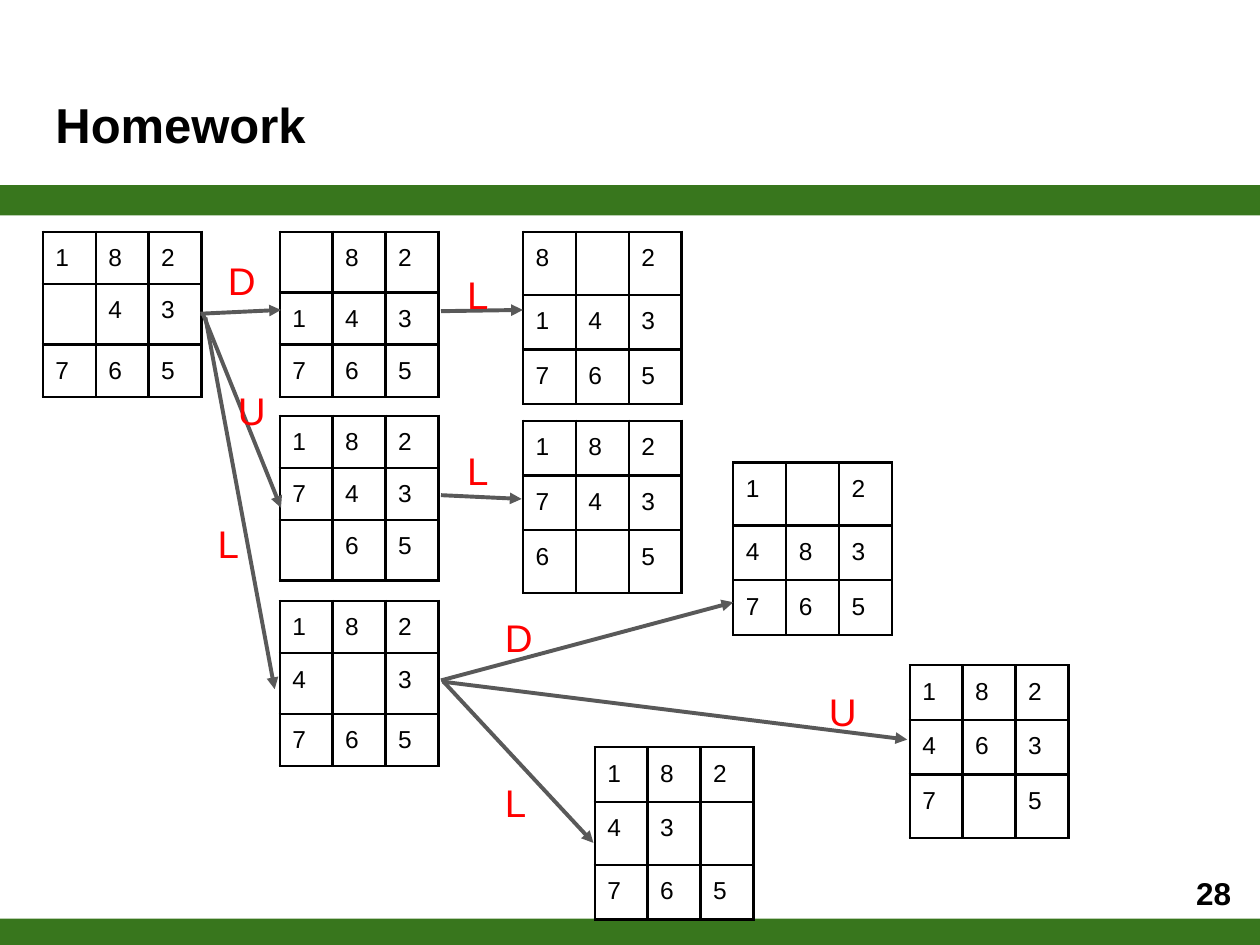
from lxml.etree import SubElement
from pptx import Presentation
from pptx.dml.color import RGBColor
from pptx.enum.shapes import MSO_CONNECTOR, MSO_SHAPE
from pptx.enum.text import MSO_ANCHOR, MSO_AUTO_SIZE, PP_ALIGN
from pptx.oxml import parse_xml
from pptx.oxml.ns import nsdecls, qn
from pptx.util import Inches, Pt

COLORS = {"bar": "38761D", "text": "000000", "move": "FF0000", "arrow": "595959"}
MARGIN = Inches(0.1)
CELL_WIDTH = 0.42
MIN_ROW = 0.21
TIGHT = 0.08
ROOMY = 0.1

BOARDS = [
    (0.34, 1.84, "182 _43 765", TIGHT),
    (2.22, 1.84, "_82 143 765", TIGHT),
    (2.22, 3.30, "182 743 _65", TIGHT),
    (2.22, 4.77, "182 4_3 765", TIGHT),
    (4.15, 1.84, "8_2 143 765", ROOMY),
    (4.15, 3.34, "182 743 6_5", ROOMY),
    (5.82, 3.67, "1_2 483 765", ROOMY),
    (4.72, 5.93, "182 43_ 765", ROOMY),
    (7.22, 5.28, "182 463 7_5", ROOMY),
]

MOVES = [
    ("D", (1.71, 1.94), (1.59, 2.49), (2.23, 2.46)),
    ("U", (1.79, 2.97), (1.61, 2.49), (2.23, 4.03)),
    ("L", (1.63, 4.03), (1.63, 2.52), (2.18, 5.47)),
    ("L", (3.61, 2.05), (3.50, 2.47), (4.15, 2.46)),
    ("L", (3.61, 3.45), (3.50, 3.93), (4.14, 3.96)),
    ("D", (3.91, 4.77), (3.50, 5.40), (5.82, 4.78)),
    ("L", (3.91, 6.08), (3.52, 5.41), (4.71, 6.69)),
    ("U", (6.48, 5.36), (3.51, 5.41), (7.20, 5.87)),
]


def rgb(name):
    """Look up a named colour."""
    return RGBColor.from_string(COLORS[name])


def place(sp, x, y, w, h):
    """Move a shape into a box given in inches."""
    sp.left, sp.top, sp.width, sp.height = (Inches(v) for v in (x, y, w, h))


def write(tf, text, size, color="text", bold=False, align=PP_ALIGN.LEFT):
    """Set a one-line text and its format."""
    tf.text = text
    p = tf.paragraphs[0]
    p.alignment = align
    for r in p.runs:
        r.font.name = "Arial"
        r.font.size = Pt(size)
        r.font.bold = bold
        r.font.color.rgb = rgb(color)


def set_frame(tf, anchor=MSO_ANCHOR.TOP):
    """Give a text frame equal insets, wrapping and an anchor."""
    tf.margin_left = tf.margin_right = tf.margin_top = tf.margin_bottom = MARGIN
    tf.word_wrap = True
    tf.vertical_anchor = anchor


def add_bar(s, y, h):
    """Draw a green bar across the slide."""
    sp = s.shapes.add_shape(MSO_SHAPE.RECTANGLE, 0, Inches(y), Inches(10), Inches(h))
    sp.shadow.inherit = False
    sp.fill.solid()
    sp.fill.fore_color.rgb = rgb("bar")
    sp.line.fill.background()


def add_title(s, text, x, y, w, h):
    """Place and format the slide title."""
    sp = s.shapes.title
    place(sp, x, y, w, h)
    tf = sp.text_frame
    set_frame(tf)
    tf.auto_size = MSO_AUTO_SIZE.NONE
    write(tf, text, 28, bold=True)


def add_number(s, text, x, y, w, h):
    """Write the page number in the lower right corner."""
    sp = s.shapes.add_textbox(0, 0, 0, 0)
    place(sp, x, y, w, h)
    set_frame(sp.text_frame, MSO_ANCHOR.MIDDLE)
    write(sp.text_frame, text, 18, bold=True, align=PP_ALIGN.RIGHT)


def set_borders(cell):
    """Draw all four sides of a cell."""
    tcPr = cell._tc.get_or_add_tcPr()
    for i, side in enumerate("LRTB"):
        tcPr.insert(i, parse_xml(
            f'<a:ln{side} {nsdecls("a")} w="{Pt(1.5)}"><a:solidFill>'
            f'<a:srgbClr val="{COLORS["text"]}"/></a:solidFill></a:ln{side}>'))


def add_board(s, x, y, state, bottom):
    """Build a puzzle board whose rows grow to fit their tiles."""
    table = s.shapes.add_table(3, 3, Inches(x), Inches(y), Inches(3 * CELL_WIDTH),
                               Inches(3 * MIN_ROW)).table
    table.first_row = table.horz_banding = False
    for col in table.columns:
        col.width = Inches(CELL_WIDTH)
    for i, row in enumerate(state.split()):
        table.rows[i].height = Inches(MIN_ROW)
        for j, tile in enumerate(row):
            cell = table.cell(i, j)
            cell.margin_left = cell.margin_right = cell.margin_top = MARGIN
            cell.margin_bottom = Inches(bottom)
            cell.fill.background()
            set_borders(cell)
            if tile != "_":
                write(cell.text_frame, tile, 14)


def add_arrow(s, start, end):
    """Draw an arrow between two points."""
    x1, y1, x2, y2 = (Inches(v) for v in (*start, *end))
    line = s.shapes.add_connector(MSO_CONNECTOR.STRAIGHT, x1, y1, x2, y2)
    line.line.color.rgb = rgb("arrow")
    line.line.width = Pt(2.25)
    SubElement(line.line._get_or_add_ln(), qn("a:tailEnd"), type="triangle")
    SubElement(line._element.spPr, qn("a:effectLst"))


def add_move(s, text, x, y):
    """Write the letter of a move."""
    sp = s.shapes.add_textbox(0, 0, 0, 0)
    place(sp, x, y, 0.4, 0.57)
    set_frame(sp.text_frame)
    write(sp.text_frame, text, 22, "move")


def main():
    """Build the homework slide."""
    prs = Presentation()
    prs.slide_width, prs.slide_height = Inches(10), Inches(7.5)
    s = prs.slides.add_slide(prs.slide_layouts[5])
    add_bar(s, 7.29, 0.21)
    add_bar(s, 1.47, 0.24)
    add_title(s, "Homework", 0.34, 0.65, 9.32, 0.83)
    add_number(s, "28", 9.27, 6.8, 0.6, 0.57)
    for board in BOARDS:
        add_board(s, *board)
    for text, spot, start, end in MOVES:
        add_arrow(s, start, end)
        add_move(s, text, *spot)
    prs.save("out.pptx")


if __name__ == "__main__":
    main()
